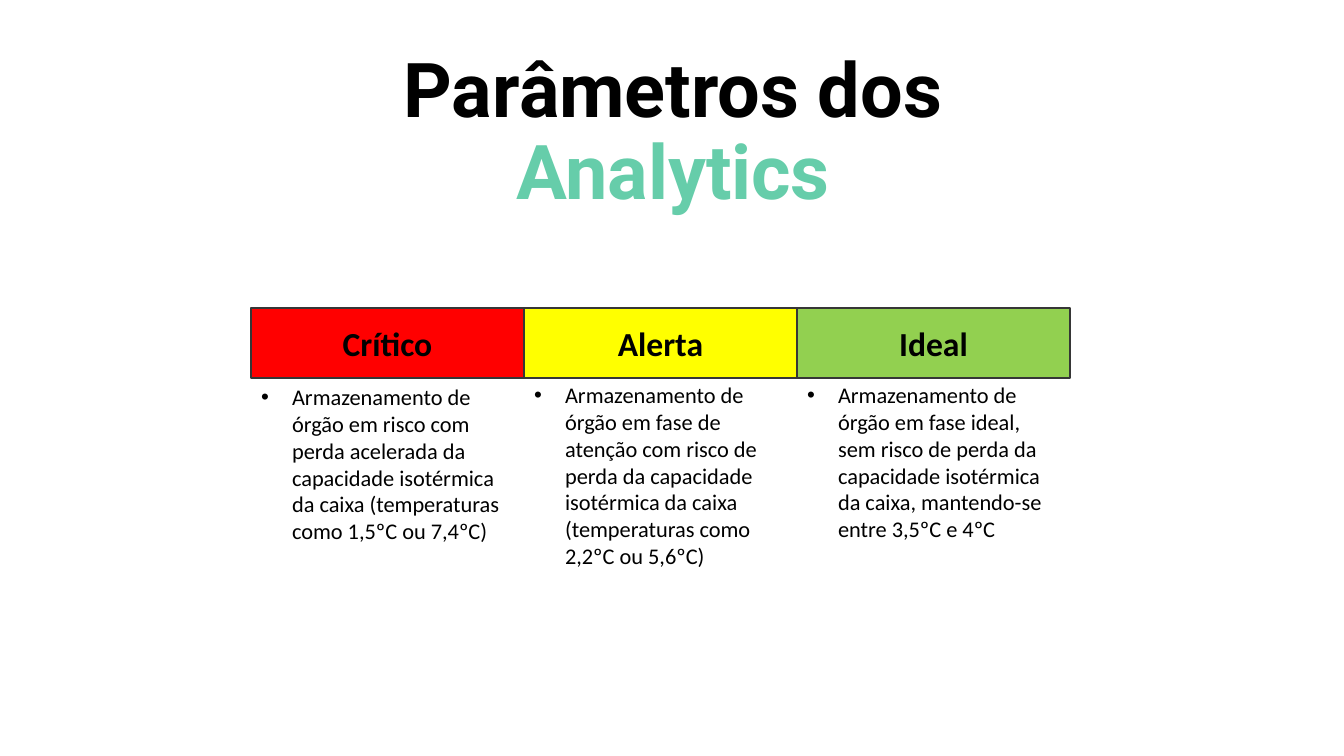
import dataclasses

import lxml.etree
import pptx
import pptx.dml.color
import pptx.enum.shapes
import pptx.enum.text
import pptx.oxml.ns
import pptx.util

EMU_PER_PX = 914400 / 100.8
ALIGN = pptx.enum.text.PP_ALIGN
ANCHOR = pptx.enum.text.MSO_ANCHOR
AUTO_SIZE = pptx.enum.text.MSO_AUTO_SIZE
COMPARISON_LAYOUT = 4

LEFT, COL_W = 251, 273
HEAD_TOP, HEAD_H = 308, 70
INDENT = 31

# name, theme colour, list top, list height, list text
LEVELS = [
    ("Crítico", "critical", 378, 173,
     "Armazenamento de órgão em risco com perda acelerada da capacidade "
     "isotérmica da caixa (temperaturas como 1,5ºC ou 7,4ºC)"),
    ("Alerta", "alert", 376, 201,
     "Armazenamento de órgão em fase de atenção com risco de perda da "
     "capacidade isotérmica da caixa (temperaturas como 2,2ºC ou 5,6ºC)"),
    ("Ideal", "ideal", 376, 173,
     "Armazenamento de órgão em fase ideal, sem risco de perda da capacidade "
     "isotérmica da caixa, mantendo-se entre 3,5ºC e 4ºC"),
]


@dataclasses.dataclass(frozen=True)
class Theme:
    text: str = "000000"
    accent: str = "66CDAA"
    outline: str = "363636"
    critical: str = "FF0000"
    alert: str = "FFFF00"
    ideal: str = "92D050"
    title_font: str = "Roboto"
    body_font: str = "Calibri"
    title_size: int = 54
    head_size: int = 24
    body_size: int = 16


def px(n):
    return pptx.util.Emu(round(n * EMU_PER_PX))


def rgb(code):
    return pptx.dml.color.RGBColor.from_string(code)


def apply(obj, fmt):
    for name, value in fmt.items():
        setattr(obj, name, value)


class SlideBuilder:
    def __init__(self, slide, theme):
        self.s = slide
        self.theme = theme

    def place(self, sp, left, top, width, height):
        apply(sp, {"left": px(left), "top": px(top),
                   "width": px(width), "height": px(height)})

    def run(self, p, text, font, size, color, bold):
        r = p.add_run()
        r.text = text
        apply(r.font, {"name": font, "size": pptx.util.Pt(size), "bold": bold})
        r.font.color.rgb = rgb(color)

    def title(self, parts, *box):
        """Fill the title with (text, colour) parts."""
        sp = self.s.shapes.title
        self.place(sp, *box)
        tf = sp.text_frame
        apply(tf, {"vertical_anchor": ANCHOR.BOTTOM, "word_wrap": True,
                   "auto_size": AUTO_SIZE.NONE})
        p = tf.paragraphs[0]
        apply(p, {"alignment": ALIGN.CENTER, "line_spacing": 0.9})
        for text, color in parts:
            self.run(p, text, self.theme.title_font, self.theme.title_size, color, True)

    def heading(self, text, fill, *box):
        sp = self.s.shapes.add_shape(
            pptx.enum.shapes.MSO_SHAPE.RECTANGLE, *map(px, box))
        sp.shadow.inherit = False
        sp.fill.solid()
        sp.fill.fore_color.rgb = rgb(fill)
        sp.line.color.rgb = rgb(self.theme.outline)
        sp.line.width = pptx.util.Pt(1)
        tf = sp.text_frame
        apply(tf, {"vertical_anchor": ANCHOR.MIDDLE, "word_wrap": True})
        p = tf.paragraphs[0]
        p.alignment = ALIGN.CENTER
        self.run(p, text, self.theme.body_font, self.theme.head_size, self.theme.text, True)

    def bullet(self, sp, text, *box):
        self.place(sp, *box)
        tf = sp.text_frame
        apply(tf, {"vertical_anchor": ANCHOR.TOP, "word_wrap": True,
                   "auto_size": AUTO_SIZE.SHAPE_TO_FIT_TEXT})
        p = tf.paragraphs[0]
        apply(p, {"alignment": ALIGN.LEFT, "line_spacing": 1.0,
                  "space_before": pptx.util.Pt(0)})
        pPr = p._p.get_or_add_pPr()
        pPr.set("marL", str(px(INDENT)))
        pPr.set("indent", str(-px(INDENT)))
        for tag, key, value in (("a:buFont", "typeface", "Arial"),
                                ("a:buChar", "char", "•")):
            lxml.etree.SubElement(pPr, pptx.oxml.ns.qn(tag)).set(key, value)
        self.run(p, text, self.theme.body_font, self.theme.body_size, self.theme.text, False)


def main():
    prs = pptx.Presentation()
    prs.slide_width, prs.slide_height = px(1344), px(756)
    s = prs.slides.add_slide(prs.slide_layouts[COMPARISON_LAYOUT])
    theme = Theme()
    builder = SlideBuilder(s, theme)

    builder.title([("Parâmetros dos ", theme.text), ("Analytics", theme.accent)],
                  326, 53, 694, 168)
    bodies = list(s.placeholders)[1:]
    for i, (name, color, top, height, text) in enumerate(LEVELS):
        left = LEFT + i * COL_W
        builder.heading(name, getattr(theme, color), left, HEAD_TOP, COL_W, HEAD_H)
        builder.bullet(bodies[i], text, left, top, COL_W, height)
    for sp in bodies[len(LEVELS):]:
        sp.element.getparent().remove(sp.element)

    prs.save("out.pptx")


if __name__ == "__main__":
    main()
